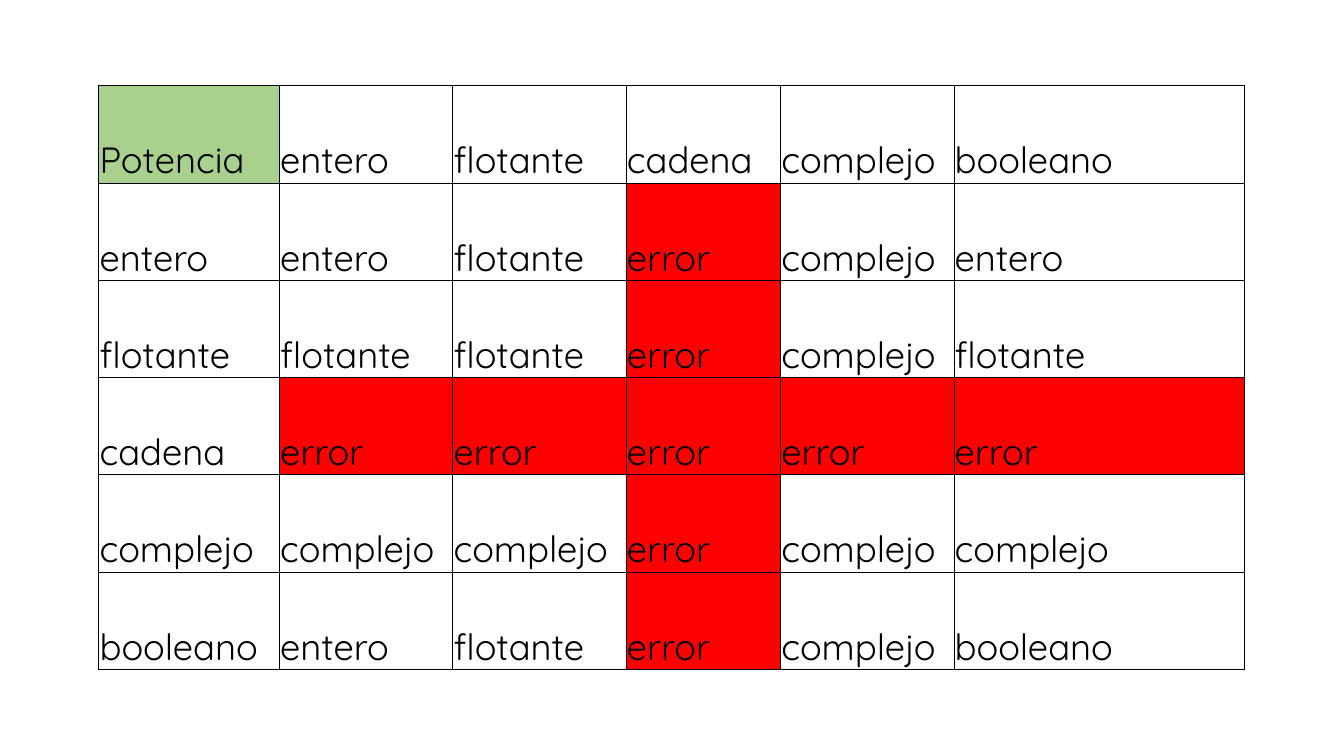
from lxml.etree import SubElement
from pptx import Presentation
from pptx.dml.color import RGBColor
from pptx.enum.text import MSO_ANCHOR
from pptx.oxml.ns import qn
from pptx.util import Cm, Pt

ROWS = [
    ["Potencia", "entero", "flotante", "cadena", "complejo", "booleano"],
    ["entero", "entero", "flotante", "error", "complejo", "entero"],
    ["flotante", "flotante", "flotante", "error", "complejo", "flotante"],
    ["cadena", "error", "error", "error", "error", "error"],
    ["complejo", "complejo", "complejo", "error", "complejo", "complejo"],
    ["booleano", "entero", "flotante", "error", "complejo", "booleano"],
]
COLORS = {"text": "000000", "border": "000000", "operation": "A9D18E", "error": "FF0000"}
FILLS = {"Potencia": COLORS["operation"], "error": COLORS["error"]}
COLUMN_WIDTHS = [4.55, 4.37, 4.37, 3.89, 4.37, 7.32]
ROW_HEIGHT = 2.45
LEFT, TOP = 2.49, 2.16
INSET = 0.02


def add_borders(cell):
    properties = cell._tc.get_or_add_tcPr()
    for position, side in enumerate(["lnL", "lnR", "lnT", "lnB"]):
        line = properties.makeelement(qn(f"a:{side}"), {"w": str(Pt(0.5))})
        fill = SubElement(line, qn("a:solidFill"))
        SubElement(fill, qn("a:srgbClr"), val=COLORS["border"])
        properties.insert(position, line)


def format_cell(cell, text):
    cell.text_frame.text = text
    cell.vertical_anchor = MSO_ANCHOR.BOTTOM
    cell.margin_left = cell.margin_right = cell.margin_top = Cm(INSET)
    cell.margin_bottom = 0
    if text in FILLS:
        cell.fill.solid()
        cell.fill.fore_color.rgb = RGBColor.from_string(FILLS[text])
    else:
        cell.fill.background()
    font = cell.text_frame.paragraphs[0].runs[0].font
    font.name = "Quicksand"
    font.size = Pt(26)
    font.bold = False
    font.color.rgb = RGBColor.from_string(COLORS["text"])
    add_borders(cell)


deck = Presentation()
deck.slide_width, deck.slide_height = Cm(33.87), Cm(19.05)
page = deck.slides.add_slide(deck.slide_layouts[6])

frame = page.shapes.add_table(
    len(ROWS), len(COLUMN_WIDTHS), Cm(LEFT), Cm(TOP),
    Cm(sum(COLUMN_WIDTHS)), Cm(ROW_HEIGHT * len(ROWS)),
)
table = frame.table
table.first_row = table.horz_banding = False
for column, width in zip(table.columns, COLUMN_WIDTHS):
    column.width = Cm(width)
for row, texts in zip(table.rows, ROWS):
    row.height = Cm(ROW_HEIGHT)
    for cell, text in zip(row.cells, texts):
        format_cell(cell, text)

deck.save("out.pptx")
